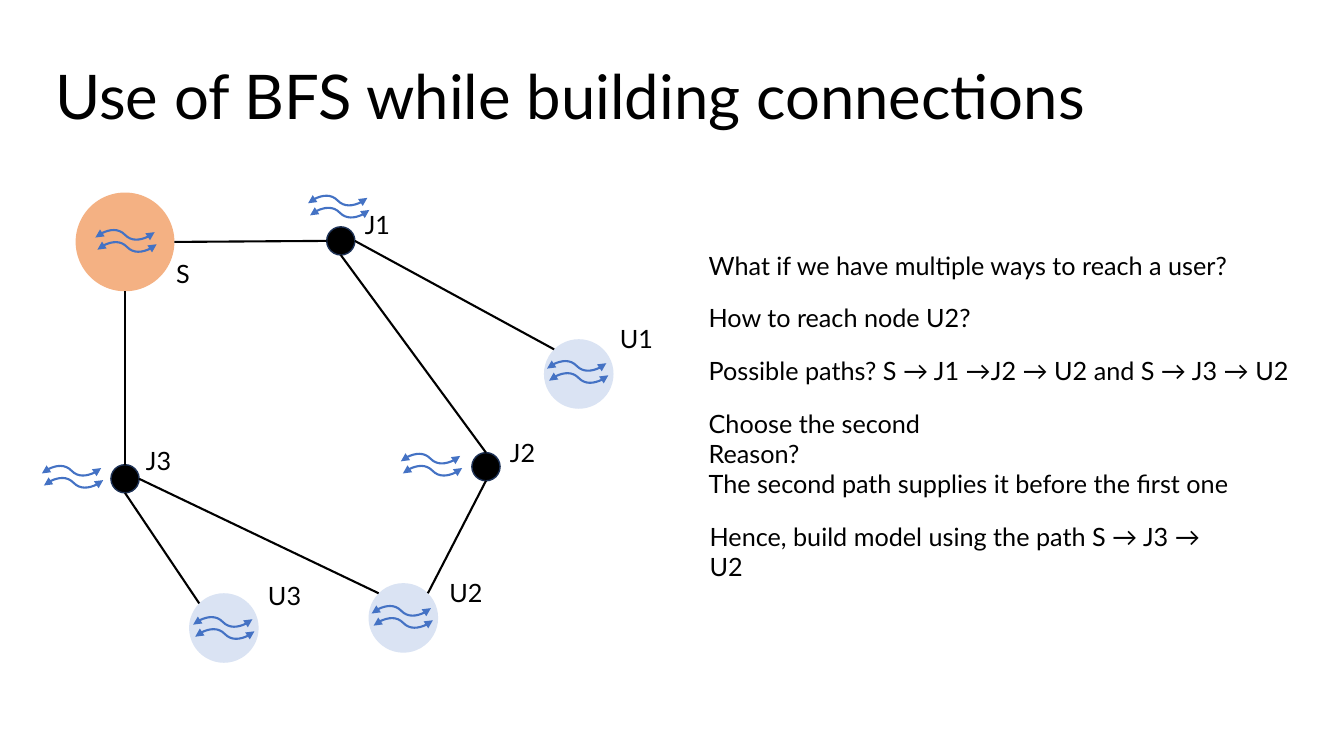
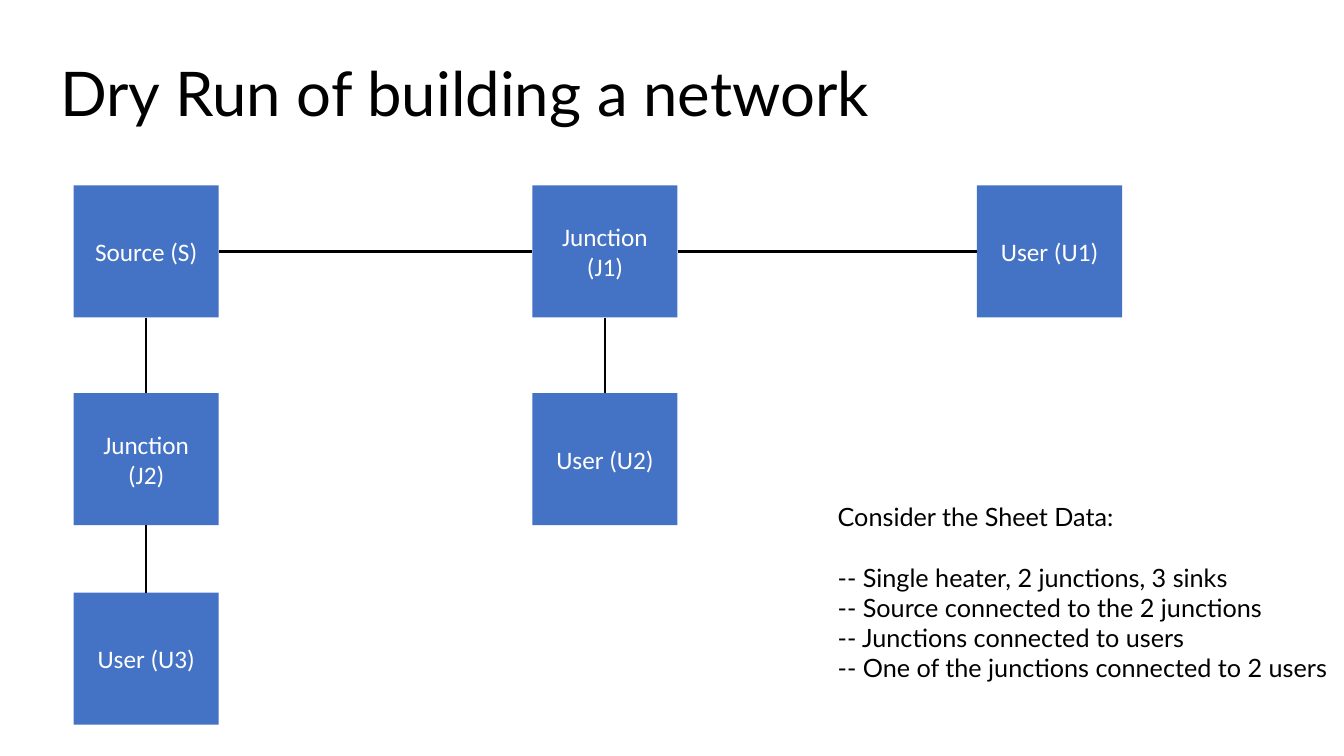
from dataclasses import dataclass
from math import sqrt

from lxml import etree
from pptx import Presentation
from pptx import util as u
from pptx.dml import color
from pptx.enum import shapes, text
from pptx.oxml import ns

COLOURS = {
    "ink": "000000",
    "paper": "FFFFFF",
    "source": "F4B183",
    "user": "DAE3F3",
    "water": "4472C4",
    "rim": "1E3256",
}
BODY = {"size": u.Pt(18), "name": "Lato"}
TITLE = {"size": u.Pt(44), "name": "Lato"}
BLOCK = {"size": u.Pt(18), "name": "Calibri"}
LINE_WIDTH = u.Pt(1.5)
DIAGONAL = 1 / sqrt(2)
SITES = {
    "top": (0, -1),
    "bottom": (0, 1),
    "left": (-1, 0),
    "right": (1, 0),
    "top left": (-DIAGONAL, -DIAGONAL),
    "top right": (DIAGONAL, -DIAGONAL),
}
RECTANGLE_SITES = {"top": 0, "left": 1, "bottom": 2, "right": 3}


@dataclass
class Node:
    """A network node: centre in the diagram, then offsets from that centre."""
    kind: str
    centre: tuple
    label: tuple
    waves: tuple


KINDS = {
    "source": (0.98, "source", None),
    "junction": (0.28, "ink", "rim"),
    "user": (0.69, "user", None),
}
NODES = {
    "S": Node("source", (0.84, 0.6), (0.41, 0.11), (0.01, -0.01)),
    "J1": Node("junction", (2.98, 0.59), (0.14, -0.36), (-0.02, -0.34)),
    "J3": Node("junction", (0.84, 2.95), (0.11, -0.38), (-0.52, -0.02)),
    "J2": Node("junction", (4.42, 2.83), (0.14, -0.34), (-0.54, -0.02)),
    "U1": Node("user", (5.34, 1.91), (0.31, -0.55), (-0.01, -0.02)),
    "U3": Node("user", (1.82, 4.43), (0.34, -0.52), (0, 0)),
    "U2": Node("user", (3.6, 4.33), (0.36, -0.45), (-0.01, -0.01)),
}
PIPES = [
    ("S", "bottom", "J3", "top"),
    ("J3", "bottom", "U3", "top left"),
    ("S", "right", "J1", "left"),
    ("J1", "right", "U1", "top left"),
    ("J1", "bottom", "J2", "top"),
    ("J2", "bottom", "U2", "top right"),
    ("J3", "right", "U2", "top left"),
]
REMARKS = [
    (0, 0, 5.45, ["What if we have multiple ways to reach a user?"]),
    (0, 0.52, 5.45, ["How to reach node U2?"]),
    (0, 1.05, 6.22, ["Possible paths? S → J1 →J2 → U2 and S → J3 → U2"]),
    (0, 1.57, 5.45, ["Choose the second", "Reason?",
                     "The second path supplies it before the first one"]),
    (0.01, 2.69, 5.45, ["Hence, build model using the path S → J3 → U2"]),
]
COLUMNS = (0, 4.55, 8.96)
ROWS = (0, 2.06, 4.04)
BLOCK_SIZE = (1.44, 1.31)
BLOCKS = {
    "Source (S)": (0, 0),
    "Junction (J1)": (1, 0),
    "User (U1)": (2, 0),
    "Junction (J2)": (0, 1),
    "User (U3)": (0, 2),
    "User (U2)": (1, 1),
}
LINKS = [
    ("Source (S)", "right", "Junction (J1)", "left"),
    ("Junction (J1)", "right", "User (U1)", "left"),
    ("Source (S)", "bottom", "Junction (J2)", "top"),
    ("Junction (J2)", "bottom", "User (U3)", "top"),
    ("Junction (J1)", "bottom", "User (U2)", "top"),
]
DATA = [
    "Consider the Sheet Data:",
    "-- Single heater, 2 junctions, 3 sinks",
    "-- Source connected to the 2 junctions",
    "-- Junctions connected to users",
    "-- One of the junctions connected to 2 users",
]


def rgb(name):
    """Return a palette colour."""
    return color.RGBColor.from_string(COLOURS[name])


def inches(*lengths):
    """Convert lengths in inches."""
    return [u.Inches(length) for length in lengths]


def style(paragraph, values, colour="ink"):
    """Apply a dict of font values and a colour to a paragraph."""
    for key, value in values.items():
        setattr(paragraph.font, key, value)
    paragraph.font.color.rgb = rgb(colour)


def add_text(slide, box, lines, values=BODY):
    """Add a wrapping text box with one paragraph a line."""
    frame = slide.shapes.add_textbox(*inches(*box)).text_frame
    frame.word_wrap = True
    frame.text = "\n".join(lines)
    for paragraph in frame.paragraphs:
        style(paragraph, values)
    return frame


def add_title(slide, box, title):
    """Add the slide title."""
    frame = add_text(slide, box, [title], TITLE)
    frame.vertical_anchor = text.MSO_ANCHOR.MIDDLE
    frame.paragraphs[0].line_spacing = 0.9


def add_filled(slide, kind, box, fill, line=None):
    """Add a flat filled shape, outlined only when a line colour is given."""
    shape = slide.shapes.add_shape(kind, *inches(*box))
    shape.shadow.inherit = False
    shape.fill.solid()
    shape.fill.fore_color.rgb = rgb(fill)
    if line:
        shape.line.color.rgb = rgb(line)
        shape.line.width = u.Pt(1)
    else:
        shape.line.fill.background()
    return shape


def add_line(parent, start, end, colour="ink", curved=False):
    """Add a straight line, or a curve with arrowheads at both ends."""
    kind = shapes.MSO_CONNECTOR.CURVE if curved else shapes.MSO_CONNECTOR.STRAIGHT
    connector = parent.shapes.add_connector(kind, *inches(*start, *end))
    connector.line.color.rgb = rgb(colour)
    connector.line.width = LINE_WIDTH
    properties = connector._element.spPr
    if curved:
        outline = properties.find(ns.qn("a:ln"))
        for tag in ("a:headEnd", "a:tailEnd"):
            etree.SubElement(outline, ns.qn(tag), type="triangle")
    etree.SubElement(properties, ns.qn("a:effectLst"))
    return connector


def add_waves(slide, x, y):
    """Add a pair of tilted wavy arrows centred on a point."""
    width, height, tilt = 0.46, 0.37, 316
    group = slide.shapes.add_group_shape()
    for shift_x, shift_y in ((-0.01, -0.06), (0.01, 0.06)):
        left, top = x + shift_x - width / 2, y + shift_y - height / 2
        wave = add_line(group, (left, top), (left + width, top + height),
                        "water", curved=True)
        wave._element.spPr.find(ns.qn("a:xfrm")).set("rot", str(tilt * 60000))


def site_point(name, site, origin):
    """Return the point at a named site on the rim of a node."""
    node = NODES[name]
    radius = KINDS[node.kind][0] / 2
    return [start + centre + radius * direction for start, centre, direction
            in zip(origin, node.centre, SITES[site])]


def add_graph(slide, origin):
    """Draw nodes, pipes, labels and flow arrows from an origin."""
    left, top = origin
    centres = {name: (left + node.centre[0], top + node.centre[1])
               for name, node in NODES.items()}
    for name, node in NODES.items():
        size, fill, line = KINDS[node.kind]
        x, y = centres[name]
        add_filled(slide, shapes.MSO_SHAPE.OVAL,
                   (x - size / 2, y - size / 2, size, size), fill, line)
    for first, first_site, second, second_site in PIPES:
        add_line(slide, site_point(first, first_site, origin),
                 site_point(second, second_site, origin))
    for name, node in NODES.items():
        x, y = centres[name]
        add_text(slide, (x + node.label[0], y + node.label[1], 0.53, 0.4), [name])
        add_waves(slide, x + node.waves[0], y + node.waves[1])


def add_remarks(slide, origin):
    """Place the reasoning steps down from an origin."""
    left, top = origin
    for x, y, width, lines in REMARKS:
        add_text(slide, (left + x, top + y, width, 0.4), lines)


def add_network(slide, origin):
    """Draw the blocks on their grid and link them."""
    left, top = origin
    blocks = {}
    for label, (column, row) in BLOCKS.items():
        block = add_filled(slide, shapes.MSO_SHAPE.RECTANGLE,
                           (left + COLUMNS[column], top + ROWS[row], *BLOCK_SIZE),
                           "water")
        frame = block.text_frame
        frame.text = label
        frame.word_wrap = True
        frame.vertical_anchor = text.MSO_ANCHOR.MIDDLE
        frame.paragraphs[0].alignment = text.PP_ALIGN.CENTER
        style(frame.paragraphs[0], BLOCK, "paper")
        blocks[label] = block
    for first, first_site, second, second_site in LINKS:
        link = add_line(slide, origin, origin)
        link.begin_connect(blocks[first], RECTANGLE_SITES[first_site])
        link.end_connect(blocks[second], RECTANGLE_SITES[second_site])


def add_data(slide, box):
    """List the input data under its heading."""
    frame = add_text(slide, box, DATA)
    frame.paragraphs[0].space_after = u.Pt(22)


def main():
    """Build and save the presentation."""
    presentation = Presentation()
    presentation.slide_width, presentation.slide_height = inches(13.33, 7.5)
    blank = presentation.slide_layouts[6]

    search = presentation.slides.add_slide(blank)
    add_title(search, (0.45, 0.26, 11.56, 1.45), "Use of BFS while building connections")
    add_graph(search, (0.4, 1.8))
    add_remarks(search, (6.93, 2.43))

    dry_run = presentation.slides.add_slide(blank)
    add_title(dry_run, (0.5, 0.23, 11.5, 1.45), "Dry Run of building a network")
    add_network(dry_run, (0.73, 1.84))
    add_data(dry_run, (8.21, 4.92, 5.12, 1.92))

    presentation.save("out.pptx")


if __name__ == "__main__":
    main()
